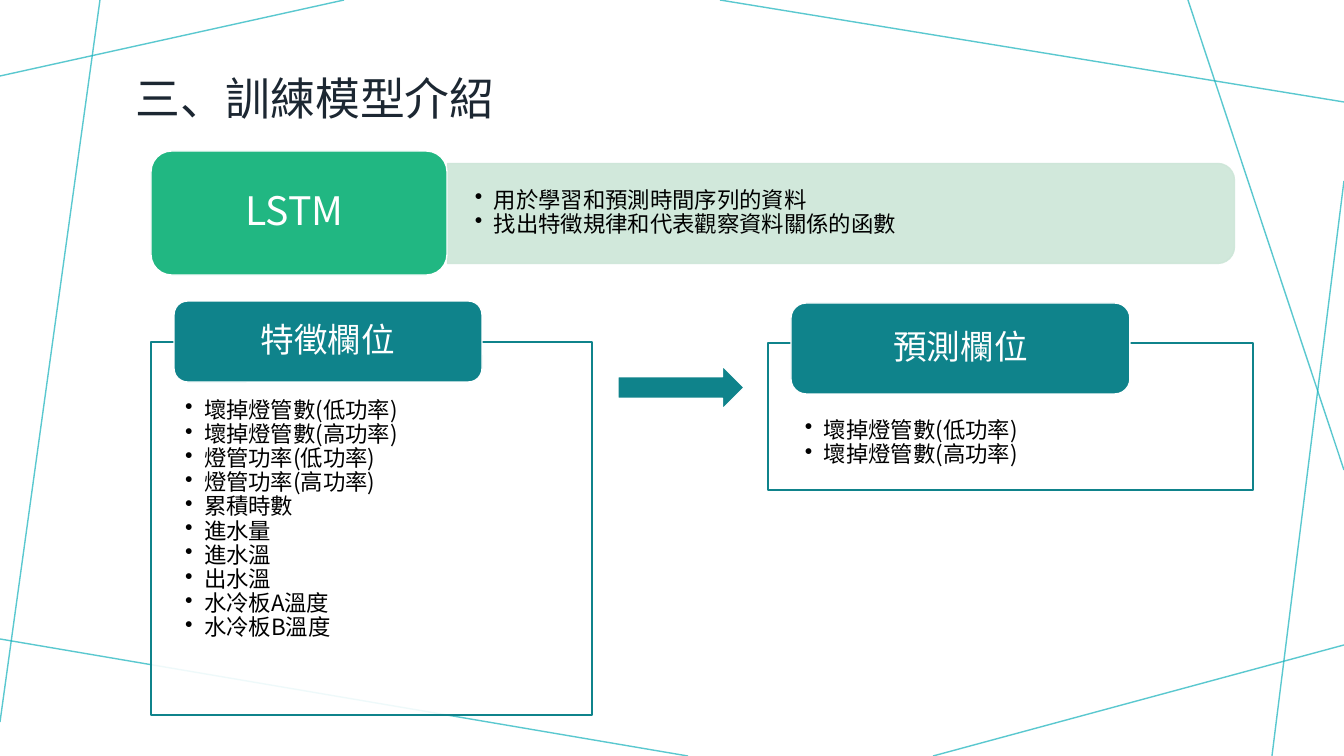
"""Build the slide on the LSTM training model with its feature and prediction fields."""
from lxml import etree
from pptx import Presentation, util as u
from pptx.dml import color
from pptx.enum import shapes, text
from pptx.oxml import ns

FONT = "Noto Sans CJK SC"
TEAL, GREEN, MINT, WHITE, BLACK, INK = "0F838B", "21B782", "CDE6D8", "FFFFFF", "000000", "1C2732"
RULE = "14B1BC"
SHAPE, ANCHOR, ALIGN = shapes.MSO_SHAPE, text.MSO_ANCHOR, text.PP_ALIGN

HEADING = "三、訓練模型介紹"
MODEL = "LSTM "
PURPOSES = ["用於學習和預測時間序列的資料", "找出特徵規律和代表觀察資料關係的函數"]
LAMPS = ["壞掉燈管數(低功率)", "壞掉燈管數(高功率)"]
FEATURES = LAMPS + ["燈管功率(低功率)", "燈管功率(高功率)", "累積時數", "進水量",
                    "進水溫", "出水溫", "水冷板A溫度", "水冷板B溫度"]
FIELDS = [
    ("特徵欄位", FEATURES, (151, 342, 441, 373), (174, 301, 308, 81), (34, 57, 34, 12)),
    ("預測欄位", LAMPS, (768, 343, 485, 147), (791, 303, 339, 91), (37, 76, 37, 12)),
]
BACKDROP = [
    (344, 0, 0, 76), (100, 0, 0, 722), (688, 756, 0, 639), (1344, 645, 933, 756),
    (1344, 181, 1272, 756), (1344, 470, 1188, 0), (1344, 102, 720, 0),
]


def px(length):
    return round(length * 914400 / 100.8)


def rgb(code):
    return color.RGBColor.from_string(code)


def fade(part, percent):
    for tone in part.iter(ns.qn("a:srgbClr")):
        etree.SubElement(tone, ns.qn("a:alpha"), val=str(percent * 1000))


def write(frame, lines, size, ink, insets, bullets=False, **formats):
    sides = ("margin_left", "margin_top", "margin_right", "margin_bottom")
    settings = {"word_wrap": True, "vertical_anchor": ANCHOR.MIDDLE,
                **dict(zip(sides, map(px, insets))), **formats}
    for name, value in settings.items():
        setattr(frame, name, value)
    for index, line in enumerate(lines):
        paragraph = frame.add_paragraph() if index else frame.paragraphs[0]
        paragraph.line_spacing = 0.9
        paragraph.alignment = ALIGN.LEFT
        run = paragraph.add_run()
        run.text = line
        for name, value in {"size": u.Pt(size), "name": FONT}.items():
            setattr(run.font, name, value)
        run.font.color.rgb = rgb(ink)
        etree.SubElement(run.font._element, ns.qn("a:ea"), typeface=FONT)
        if bullets:
            layout = paragraph._p.get_or_add_pPr()
            layout.set("marL", str(px(19)))
            layout.set("indent", str(px(-19)))
            etree.SubElement(layout, ns.qn("a:buChar"), char="•")


def panel(kind, box, fill, outline, opacity=100):
    part = slide.shapes.add_shape(kind, *map(px, box))
    part.shadow.inherit = False
    part.fill.solid()
    part.fill.fore_color.rgb = rgb(fill)
    part.line.color.rgb = rgb(outline)
    part.line.width = u.Pt(1)
    if opacity < 100:
        fade(part._element.spPr, opacity)
    return part


def label(box, fill, caption, size):
    tab = panel(SHAPE.ROUNDED_RECTANGLE, box, fill, WHITE)
    write(tab.text_frame, [caption], size, WHITE, (13, 0, 13, 0))
    tab.text_frame.paragraphs[0].alignment = ALIGN.CENTER


deck = Presentation()
deck.slide_width, deck.slide_height = px(1344), px(756)
slide = deck.slides.add_slide(deck.slide_layouts[5])

heading = slide.shapes.title
for name, value in zip(("left", "top", "width", "height"), (126, 58, 1092, 85)):
    setattr(heading, name, px(value))
write(heading.text_frame, [HEADING], 32, INK, (10, 5, 10, 5))

for ends in BACKDROP:
    rule = slide.shapes.add_connector(shapes.MSO_CONNECTOR.STRAIGHT, *map(px, ends))
    rule.line.color.rgb = rgb(RULE)
    rule.line.width = u.Pt(1)
    fade(rule._element.spPr, 70)
    etree.SubElement(rule._element.spPr, ns.qn("a:effectLst"))

band = panel(SHAPE.ROUND_2_SAME_RECTANGLE, (791, -180, 100, 787), MINT, MINT, 90)
band.rotation = 90
purposes = slide.shapes.add_textbox(*map(px, (448, 168, 782, 90)))
write(purposes.text_frame, PURPOSES, 16, BLACK, (27, 14, 27, 14), bullets=True)
label((151, 151, 296, 124), GREEN, MODEL, 28)

for caption, names, frame_box, tab_box, insets in FIELDS:
    field = panel(SHAPE.RECTANGLE, frame_box, WHITE, TEAL, 90)
    fade(field.line._ln, 100)
    write(field.text_frame, names, 16, BLACK, insets, bullets=True, vertical_anchor=ANCHOR.TOP)
    label(tab_box, TEAL, caption, 24)

panel(SHAPE.RIGHT_ARROW, (618, 366, 126, 43), TEAL, WHITE)
deck.save("out.pptx")
